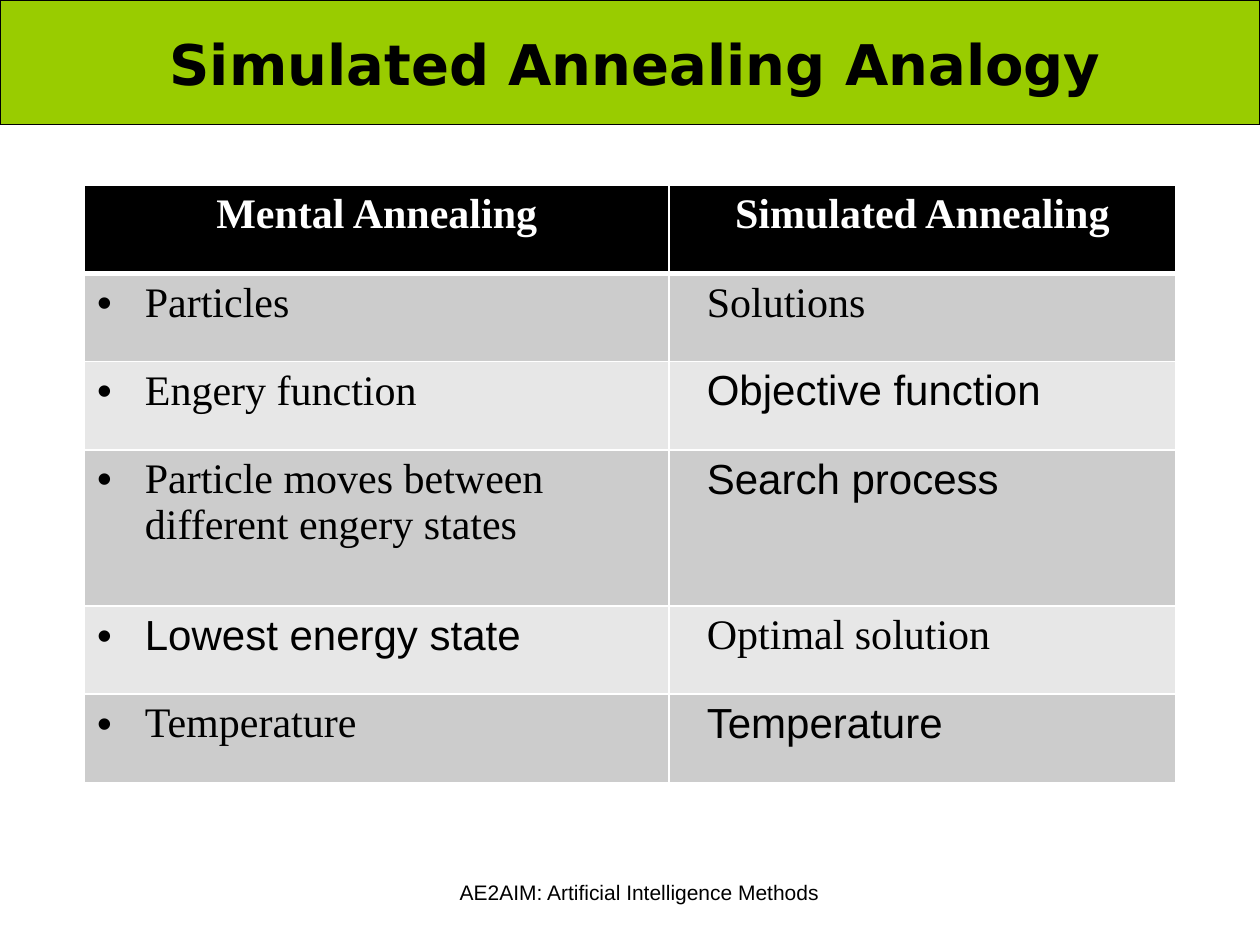
from typing import NamedTuple

from lxml import etree
from pptx import Presentation
from pptx import util as u
from pptx.dml.color import RGBColor
from pptx.enum import shapes, text
from pptx.oxml.ns import qn

COLORS = {"banner": "99CC00", "ink": "000000", "paper": "FFFFFF",
          "odd_row": "CCCCCC", "even_row": "E7E7E7"}
SERIF, SANS, DISPLAY = "Times New Roman", "Arial", "DejaVu Sans"
WIDTH, HEIGHT = 10, 7.5
ROW, TALL_ROW = 0.7, 1.24
COLUMNS = (4.64, 4.02)


class Style(NamedTuple):
    font: str
    size: int
    color: str = "ink"
    bold: bool = False


class Term(NamedTuple):
    words: str
    font: str = SERIF


class Analogy(NamedTuple):
    physical: Term
    search: Term
    height: float = ROW


HEADINGS = ("Mental Annealing", "Simulated Annealing")
ANALOGIES = (
    Analogy(Term("Particles"), Term("Solutions")),
    Analogy(Term("Engery function"), Term("Objective function", SANS)),
    Analogy(Term("Particle moves between different engery states"),
            Term("Search process", SANS), TALL_ROW),
    Analogy(Term("Lowest energy state", SANS), Term("Optimal solution")),
    Analogy(Term("Temperature"), Term("Temperature", SANS)),
)


def rgb(name: str) -> RGBColor:
    return RGBColor.from_string(COLORS[name])


def write(frame, words: str, style: Style, align=text.PP_ALIGN.CENTER) -> None:
    frame.text = words
    paragraph = frame.paragraphs[0]
    paragraph.alignment = align
    font = paragraph.runs[0].font
    font.name, font.size, font.bold = style.font, u.Pt(style.size), style.bold
    font.color.rgb = rgb(style.color)


def add_label(slide, box: tuple, words: str, style: Style, anchor) -> None:
    frame = slide.shapes.add_textbox(*map(u.Inches, box)).text_frame
    frame.word_wrap = True
    frame.vertical_anchor = anchor
    write(frame, words, style)


def indent(cell, left: float, bullet: bool) -> None:
    properties = cell.text_frame.paragraphs[0]._p.get_or_add_pPr()
    properties.set("marL", str(u.Inches(left)))
    properties.set("indent", str(u.Inches(-left if bullet else 0)))
    if bullet:
        etree.SubElement(properties, qn("a:buFont"), typeface=SANS)
        etree.SubElement(properties, qn("a:buChar"), char="•")


def paint(cell, color: str, top: float = 1, bottom: float = 1) -> None:
    properties = cell._tc.get_or_add_tcPr()
    for side, points in (("L", 1), ("R", 1), ("T", top), ("B", bottom)):
        edge = etree.SubElement(properties, qn(f"a:ln{side}"), w=str(u.Pt(points)))
        fill = etree.SubElement(edge, qn("a:solidFill"))
        etree.SubElement(fill, qn("a:srgbClr"), val=COLORS["paper"])
    cell.fill.solid()
    cell.fill.fore_color.rgb = rgb(color)


def add_banner(slide) -> None:
    banner = slide.shapes.add_shape(shapes.MSO_SHAPE.RECTANGLE, 0, 0,
                                    u.Inches(WIDTH), u.Inches(0.99))
    banner.shadow.inherit = False
    banner.fill.solid()
    banner.fill.fore_color.rgb = rgb("banner")
    banner.line.color.rgb = rgb("ink")
    banner.line.width = u.Pt(0.75)


def add_analogy_table(slide, left: float, top: float) -> None:
    heights = [ROW] + [analogy.height for analogy in ANALOGIES]
    table = slide.shapes.add_table(
        len(heights), len(COLUMNS), u.Inches(left), u.Inches(top),
        u.Inches(sum(COLUMNS)), u.Inches(sum(heights))).table
    for column, width in zip(table.columns, COLUMNS):
        column.width = u.Inches(width)
    for row, height in zip(table.rows, heights):
        row.height = u.Inches(height)

    # Heading row
    for cell, heading in zip(table.rows[0].cells, HEADINGS):
        write(cell.text_frame, heading, Style(SERIF, 24, "paper", True))
        paint(cell, "ink", bottom=3)

    # Banded rows, bullets in the first column only
    for number, analogy in enumerate(ANALOGIES, start=1):
        band = "odd_row" if number % 2 else "even_row"
        pair = (analogy.physical, analogy.search)
        for column, term in enumerate(pair):
            cell = table.cell(number, column)
            write(cell.text_frame, term.words, Style(term.font, 24),
                  text.PP_ALIGN.LEFT)
            indent(cell, (0.38, 0.2)[column], bullet=column == 0)
            paint(cell, band, top=3 if number == 1 else 1)


def main() -> None:
    deck = Presentation()
    deck.slide_width, deck.slide_height = u.Inches(WIDTH), u.Inches(HEIGHT)
    slide = deck.slides.add_slide(deck.slide_layouts[6])

    # Banner, footer and title
    add_banner(slide)
    add_label(slide, (2.32, 6.93, 5.51, 0.52),
              "AE2AIM: Artificial Intelligence Methods",
              Style(SANS, 12), text.MSO_ANCHOR.TOP)
    add_label(slide, (0.28, 0.08, 9.53, 0.84), "Simulated Annealing Analogy",
              Style(DISPLAY, 32, bold=True), text.MSO_ANCHOR.MIDDLE)

    # Comparison of the two processes
    add_analogy_table(slide, 0.67, 1.47)
    deck.save("out.pptx")


if __name__ == "__main__":
    main()
